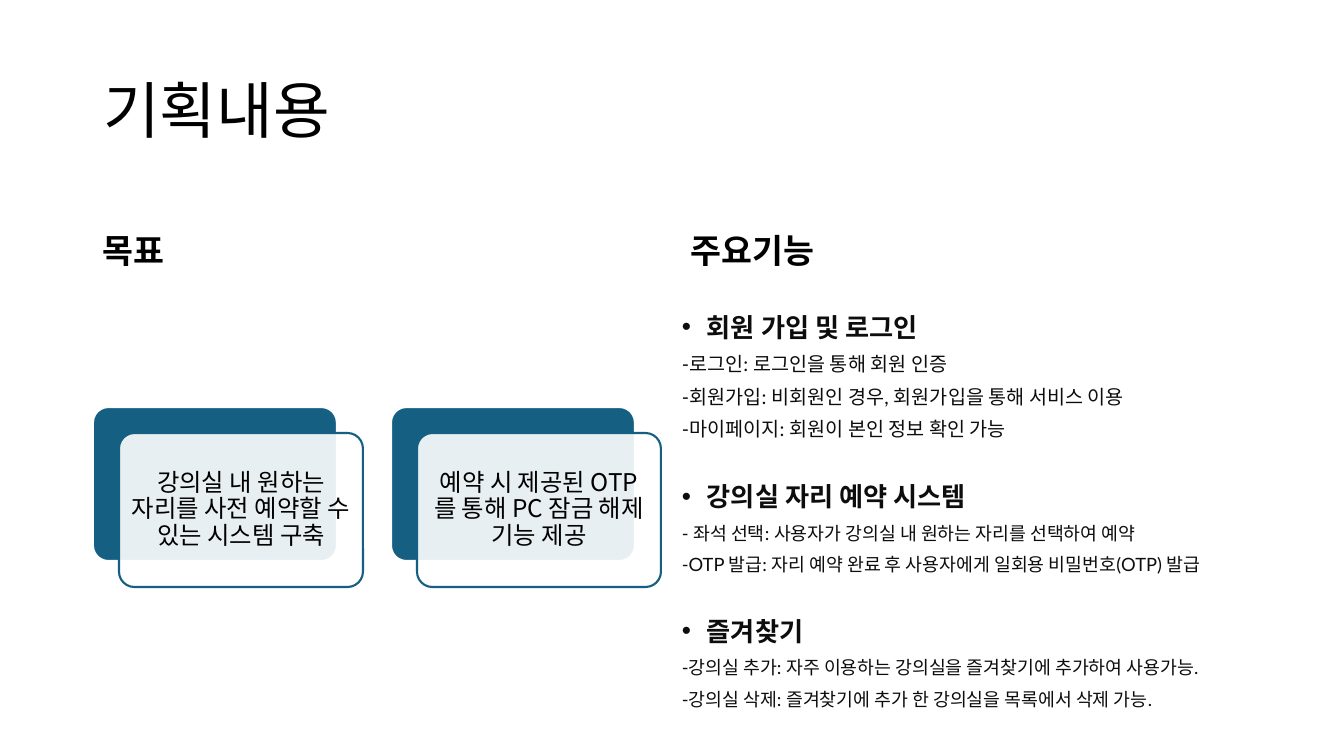
"""Build the planning slide with its goals and main features."""
from lxml.etree import SubElement
from pptx import Presentation
from pptx.dml.color import RGBColor
from pptx.enum.shapes import MSO_SHAPE as SHAPE
from pptx.enum.text import MSO_ANCHOR as ANCHOR, PP_ALIGN as ALIGN
from pptx.oxml.ns import qn
from pptx.util import Pt

PX = 914400 / 100.8
BLACK = RGBColor(0x00, 0x00, 0x00)
INK = RGBColor(0x0D, 0x0D, 0x0D)
WHITE = RGBColor(0xFF, 0xFF, 0xFF)
TEAL = RGBColor(0x15, 0x60, 0x82)
KOREAN = "Noto Sans CJK KR"


def px(*lengths):
    return [round(length * PX) for length in lengths]


def write(paragraph, text, size, font=KOREAN, color=BLACK, bold=False,
          align=ALIGN.LEFT, spacing=0.9, before=0, bullet=False):
    paragraph.alignment = align
    paragraph.line_spacing = spacing
    paragraph.space_before = Pt(before)
    if bullet:
        properties = paragraph._p.get_or_add_pPr()
        indent = px(25)[0]
        properties.set("marL", str(indent))
        properties.set("indent", str(-indent))
        SubElement(properties, qn("a:buFont"), typeface="Arial")
        SubElement(properties, qn("a:buChar"), char="•")
    run = paragraph.add_run()
    run.text = text
    run.font.size = Pt(size)
    run.font.bold = bold
    run.font.color.rgb = color
    run.font.name = font
    SubElement(run._r.get_or_add_rPr(), qn("a:ea"), typeface=KOREAN)


deck = Presentation()
deck.slide_width, deck.slide_height = px(1344, 756)
slide = deck.slides.add_slide(deck.slide_layouts[5])
shapes = slide.shapes

title = shapes.title
title.left, title.top, title.width, title.height = px(93, 41, 1159, 146)
title.text_frame.vertical_anchor = ANCHOR.MIDDLE
write(title.text_frame.paragraphs[0], "기획내용", 44)

for heading, left in [("목표", 93), ("주요기능", 681)]:
    frame = shapes.add_textbox(*px(left, 185, 570, 91)).text_frame
    frame.word_wrap = True
    frame.vertical_anchor = ANCHOR.BOTTOM
    write(frame.paragraphs[0], heading, 24, bold=True)

goals = ["강의실 내 원하는 자리를 사전 예약할 수 있는 시스템 구축",
         "예약 시 제공된 OTP를 통해 PC 잠금 해제 기능 제공"]
for number, goal in enumerate(goals):
    left = 93 + number * 298
    for offset, fill, line in [(0, TEAL, WHITE), (26, WHITE, TEAL)]:
        card = shapes.add_shape(SHAPE.ROUNDED_RECTANGLE,
                                *px(left + offset, 407 + offset, 244, 154))
        card.adjustments[0] = 0.1
        card.shadow.inherit = False
        card.fill.solid()
        card.fill.fore_color.rgb = fill
        card.line.color.rgb = line
        card.line.width = Pt(1.5)
    fill_color = card._element.spPr.find(qn("a:solidFill"))[0]
    SubElement(fill_color, qn("a:alpha"), val="90000")
    frame = card.text_frame
    frame.word_wrap = True
    frame.vertical_anchor = ANCHOR.MIDDLE
    frame.margin_left, frame.margin_right = px(8, 8)
    write(frame.paragraphs[0], goal, 17.4, align=ALIGN.CENTER)

features = [
    ("회원 가입 및 로그인", 14, 0, [
        "-로그인: 로그인을 통해 회원 인증",
        "-회원가입: 비회원인 경우, 회원가입을 통해 서비스 이용",
        "-마이페이지: 회원이 본인 정보 확인 가능"]),
    ("강의실 자리 예약 시스템", 13.1, 33, [
        "- 좌석 선택: 사용자가 강의실 내 원하는 자리를 선택하여 예약",
        "-OTP 발급: 자리 예약 완료 후 사용자에게 일회용 비밀번호(OTP) 발급"]),
    ("즐겨찾기", 13.1, 33, [
        "-강의실 추가: 자주 이용하는 강의실을 즐겨찾기에 추가하여 사용가능.",
        "-강의실 삭제: 즐겨찾기에 추가 한 강의실을 목록에서 삭제 가능."]),
]
feature_frame = shapes.add_textbox(*px(672, 312, 634, 403)).text_frame
feature_frame.word_wrap = True
paragraph = feature_frame.paragraphs[0]
for feature, size, gap, details in features:
    if gap:
        paragraph = feature_frame.add_paragraph()
    write(paragraph, feature, 18.7, font="Lato", color=INK, bold=True,
          spacing=0.8, before=gap, bullet=True)
    for detail in details:
        write(feature_frame.add_paragraph(), detail, size, font="Lato",
              color=INK, spacing=0.8, before=10)

deck.save("out.pptx")
